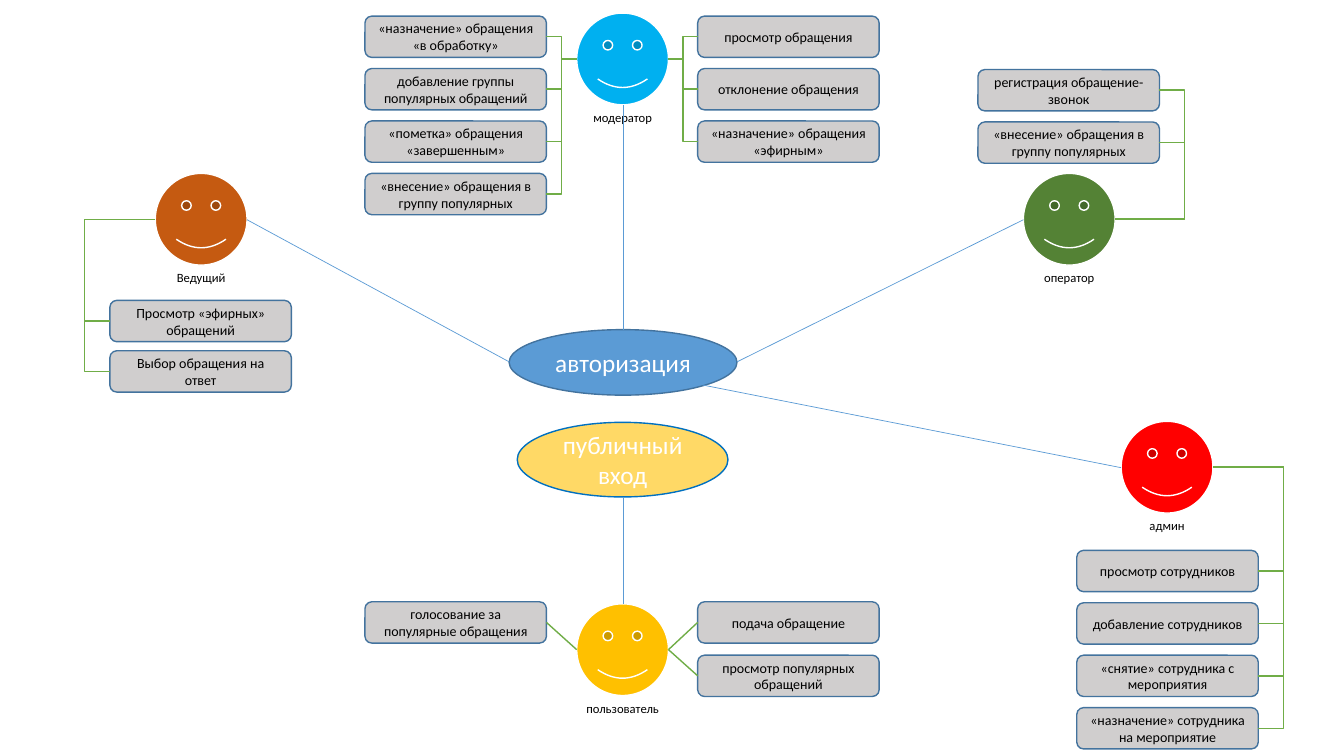
from lxml import etree
from pptx import Presentation
from pptx.dml import color
from pptx.enum import shapes, text
from pptx.oxml import ns
from pptx.util import Pt

PX = 9144
FACE = 91
BOX_WIDTH, BOX_HEIGHT = 180, 41
LABEL_WIDTH, LABEL_HEIGHT = 104, 26
SPINE_GAP = 25
LEFT, RIGHT = 0, 1
STRAIGHT, ELBOW = shapes.MSO_CONNECTOR.STRAIGHT, shapes.MSO_CONNECTOR.ELBOW
BLUE, GREEN, OUTLINE = "5B9BD5", "70AD47", "43739E"

ENTRANCES = [
    ("авторизация", (505, 327, 226, 65), BLUE, OUTLINE),
    ("публичный\vвход", (513, 419, 209, 74), "FFD966", "0070C0"),
]

ROLES = {
    "оператор": (1015, 172, "548235"),
    "модератор": (572, 13, "00B0F0"),
    "Ведущий": (154, 172, "C55A11"),
    "пользователь": (572, 599, "FFC000"),
    "админ": (1112, 418, "FF0000"),
}

ACCESS_LINES = [
    (618, 493, 618, 599),
    (731, 359, 1015, 218),
    (618, 327, 618, 104),
    (505, 359, 245, 218),
    (697, 382, 1112, 464),
]

BRANCHES = [
    ("оператор", RIGHT, RIGHT, ELBOW, (970, 69), 52, [
        "регистрация обращение-звонок",
        "«внесение» обращения в группу популярных",
    ]),
    ("админ", RIGHT, RIGHT, ELBOW, (1068, 546), 52, [
        "просмотр сотрудников",
        "добавление сотрудников",
        "«снятие» сотрудника с мероприятия",
        "«назначение» сотрудника на мероприятие",
    ]),
    ("Ведущий", LEFT, LEFT, ELBOW, (109, 298), 50, [
        "Просмотр «эфирных» обращений",
        "Выбор обращения на ответ",
    ]),
    ("модератор", LEFT, RIGHT, ELBOW, (362, 16), 52, [
        "«назначение» обращения «в обработку»",
        "добавление группы популярных обращений",
        "«пометка» обращения «завершенным»",
        "«внесение» обращения в группу популярных",
    ]),
    ("модератор", RIGHT, LEFT, ELBOW, (692, 16), 52, [
        "просмотр обращения",
        "отклонение обращения",
        "«назначение» обращения «эфирным»",
    ]),
    ("пользователь", LEFT, RIGHT, STRAIGHT, (362, 597), 53, [
        "голосование за популярные обращения",
    ]),
    ("пользователь", RIGHT, LEFT, STRAIGHT, (692, 597), 53, [
        "подача обращение",
        "просмотр популярных обращений",
    ]),
]


def rgb(value):
    return color.RGBColor.from_string(value)


def emu(lengths):
    return [round(length * PX) for length in lengths]


def write(shape, content, size=10, ink="000000", anchor=text.MSO_ANCHOR.MIDDLE):
    frame = shape.text_frame
    frame.word_wrap = True
    frame.vertical_anchor = anchor
    paragraph = frame.paragraphs[0]
    paragraph.text = content
    paragraph.alignment = text.PP_ALIGN.CENTER
    for run in paragraph.runs:
        run.font.name = "Calibri"
        run.font.size = Pt(size)
        run.font.color.rgb = rgb(ink)


def add_figure(slide, kind, area, fill, line):
    shape = slide.shapes.add_shape(kind, *emu(area))
    shape.shadow.inherit = False
    shape.fill.solid()
    shape.fill.fore_color.rgb = rgb(fill)
    shape.line.color.rgb = rgb(line)
    shape.line.width = Pt(1)
    return shape


def add_line(slide, kind, points, ink, width, bend=None):
    connector = slide.shapes.add_connector(kind, *emu(points))
    connector.line.color.rgb = rgb(ink)
    connector.line.width = Pt(width)
    properties = connector._element.spPr
    etree.SubElement(properties, ns.qn("a:effectLst"))
    if bend is not None:
        geometry = properties.find(ns.qn("a:prstGeom"))
        adjustments = geometry.find(ns.qn("a:avLst"))
        if adjustments is None:
            adjustments = etree.SubElement(geometry, ns.qn("a:avLst"))
        guide = etree.SubElement(adjustments, ns.qn("a:gd"))
        guide.set("name", "adj1")
        guide.set("fmla", f"val {round(bend * 100000)}")


def add_role(slide, name, left, top, fill):
    add_figure(slide, shapes.MSO_SHAPE.SMILEY_FACE, (left, top, FACE, FACE), fill, "FFFFFF")
    label_left = left + (FACE - LABEL_WIDTH) / 2
    area = (label_left, top + FACE, LABEL_WIDTH, LABEL_HEIGHT)
    label = slide.shapes.add_textbox(*emu(area))
    write(label, name, size=9, anchor=text.MSO_ANCHOR.TOP)


def add_branch(slide, role, face_side, box_side, kind, corner, step, actions):
    face_left, face_top, _ = ROLES[role]
    left, top = corner
    start_x, start_y = face_left + face_side * FACE, face_top + FACE / 2
    end_x = left + box_side * BOX_WIDTH
    bend = None
    if kind == ELBOW:
        outward = SPINE_GAP if box_side == RIGHT else -SPINE_GAP
        spine = end_x + outward if face_side == box_side else (start_x + end_x) / 2
        bend = (spine - start_x) / (end_x - start_x)
    for row, action in enumerate(actions):
        box_top = top + row * step
        area = (left, box_top, BOX_WIDTH, BOX_HEIGHT)
        box = add_figure(slide, shapes.MSO_SHAPE.ROUNDED_RECTANGLE, area, "D0CECE", OUTLINE)
        write(box, action)
        points = (start_x, start_y, end_x, box_top + BOX_HEIGHT / 2)
        add_line(slide, kind, points, GREEN, 1, bend)


def main():
    presentation = Presentation()
    presentation.slide_width, presentation.slide_height = emu((1333, 750))
    slide = presentation.slides.add_slide(presentation.slide_layouts[6])
    for name, area, fill, line in ENTRANCES:
        entrance = add_figure(slide, shapes.MSO_SHAPE.OVAL, area, fill, line)
        write(entrance, name, size=18, ink="FFFFFF")
    for name, (left, top, fill) in ROLES.items():
        add_role(slide, name, left, top, fill)
    for points in ACCESS_LINES:
        add_line(slide, STRAIGHT, points, BLUE, 0.5)
    for branch in BRANCHES:
        add_branch(slide, *branch)
    presentation.save("out.pptx")


if __name__ == "__main__":
    main()
